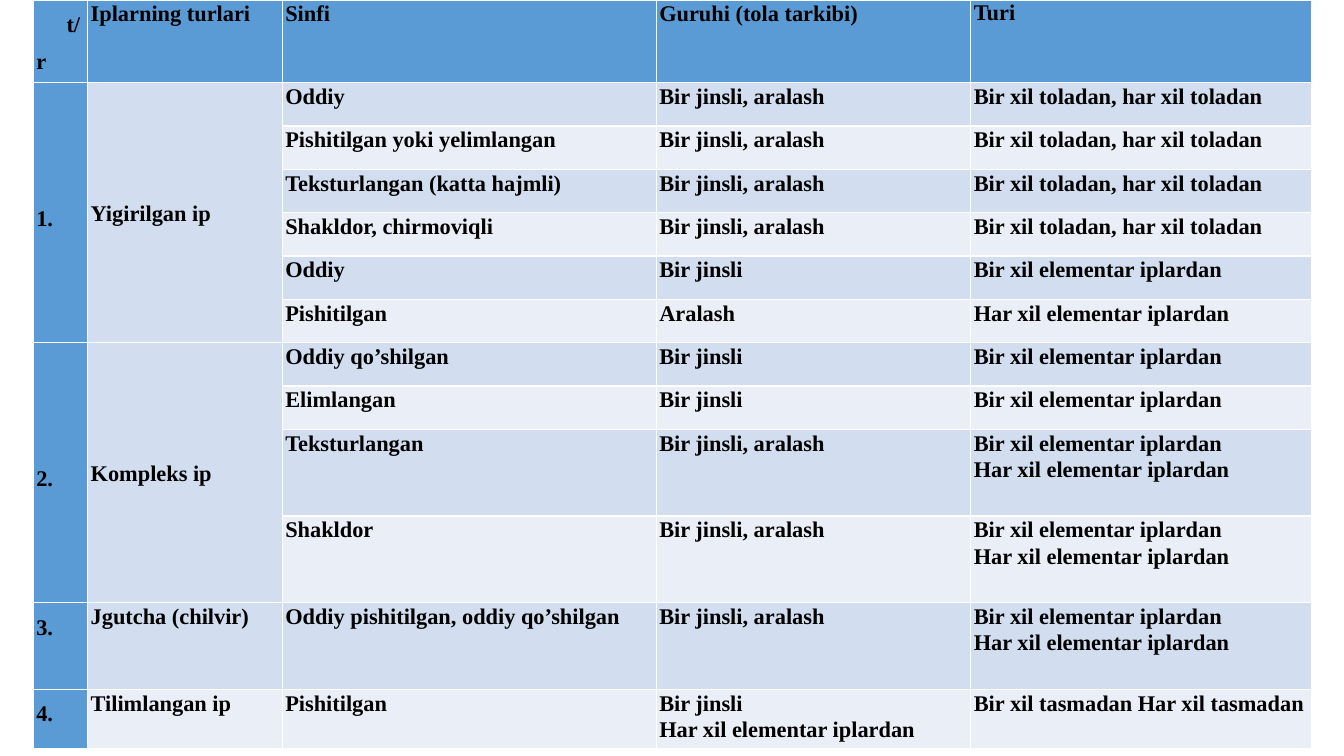
from pptx import Presentation
from pptx import util as u
from pptx.dml.color import RGBColor
from pptx.enum import text

COLORS = {"head": "5B9BD5", "dark": "D2DEEF", "light": "EAEFF7", "ink": "000000"}
FONT, SIZE = "Times New Roman", 16

# Content: headings, then yarn types with their (class, group, kind) rows
HEADS = ["t/r", "Iplarning turlari", "Sinfi", "Guruhi (tola tarkibi)", "Turi"]
PURE, MIXED = "Bir jinsli", "Bir jinsli, aralash"
FIBRES = "Bir xil toladan, har xil toladan"
SAME, VARIED = "Bir xil elementar iplardan", "Har xil elementar iplardan"
BOTH = SAME + "\n" + VARIED
YARNS = [
    ("Yigirilgan ip", [
        ("Oddiy", MIXED, FIBRES),
        ("Pishitilgan yoki yelimlangan", MIXED, FIBRES),
        ("Teksturlangan (katta hajmli)", MIXED, FIBRES),
        ("Shakldor, chirmoviqli", MIXED, FIBRES),
        ("Oddiy", PURE, SAME),
        ("Pishitilgan", "Aralash", VARIED)]),
    ("Kompleks ip", [
        ("Oddiy qo’shilgan", PURE, SAME),
        ("Elimlangan", PURE, SAME),
        ("Teksturlangan", MIXED, BOTH),
        ("Shakldor", MIXED, BOTH)]),
    ("Jgutcha (chilvir)", [
        ("Oddiy pishitilgan, oddiy qo’shilgan", MIXED, BOTH)]),
    ("Tilimlangan ip", [
        ("Pishitilgan", PURE + "\n" + VARIED, "Bir xil tasmadan Har xil tasmadan")]),
]
WIDTHS = [0.54, 1.93, 3.71, 3.12, 3.38]
UNIT = 0.43
HEIGHTS = [0.82] + [UNIT] * 8 + [2 * UNIT] * 3 + [0.59]


def fill_cell(cell, words, color, space=1.07):
    cell.fill.solid()
    cell.fill.fore_color.rgb = RGBColor.from_string(COLORS[color])
    cell.margin_left, cell.margin_right = u.Inches(0.03), u.Inches(0.02)
    cell.margin_top = cell.margin_bottom = 0
    cell.text_frame.text = words
    for par in cell.text_frame.paragraphs:
        par.alignment = text.PP_ALIGN.JUSTIFY
        par.line_spacing = space
        for run in par.runs:
            run.font.name, run.font.size, run.font.bold = FONT, u.Pt(SIZE), True
            run.font.color.rgb = RGBColor.from_string(COLORS["ink"])


prs = Presentation()
prs.slide_width, prs.slide_height = u.Inches(13.33), u.Inches(7.5)
slide = prs.slides.add_slide(prs.slide_layouts[6])

# Table grid; its style draws the white rules
table = slide.shapes.add_table(
    len(HEIGHTS), len(WIDTHS), u.Inches(0.33), 0,
    u.Inches(sum(WIDTHS)), u.Inches(sum(HEIGHTS))).table
for col, width in zip(table.columns, WIDTHS):
    col.width = u.Inches(width)
for row, height in zip(table.rows, HEIGHTS):
    row.height = u.Inches(height)

# Heading row
for c, head in enumerate(HEADS):
    space = {0: 1.5, len(HEADS) - 1: 1.0}.get(c, 1.07)
    fill_cell(table.cell(0, c), head, "head", space)
first = table.cell(0, 0).text_frame.paragraphs[0]
first._p.get_or_add_pPr().set("indent", str(u.Inches(0.3)))

# Yarn rows: number and name span all rows of their type
top = 1
for num, (name, rows) in enumerate(YARNS, 1):
    for r, row in enumerate(rows, top):
        band = "dark" if r % 2 else "light"
        for c, words in enumerate(row, 2):
            fill_cell(table.cell(r, c), words, band)
    fill_cell(table.cell(top, 0), f"{num}.", "head", 1.5)
    fill_cell(table.cell(top, 1), name, "dark" if top % 2 else "light")
    if len(rows) > 1:
        for c in (0, 1):
            table.cell(top, c).merge(table.cell(top + len(rows) - 1, c))
            table.cell(top, c).vertical_anchor = text.MSO_ANCHOR.MIDDLE
    top += len(rows)

prs.save("out.pptx")
